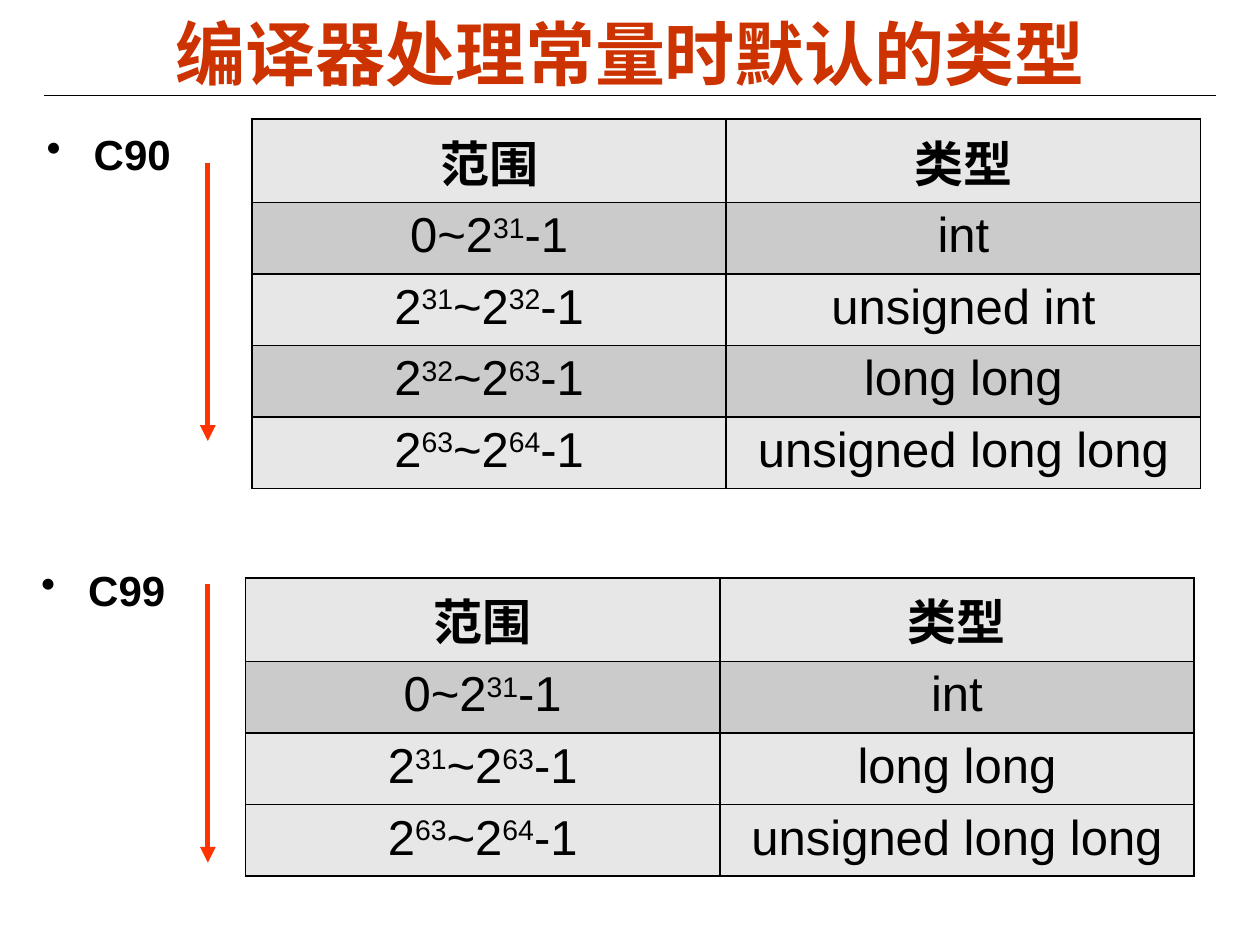
from dataclasses import dataclass

from lxml import etree
from pptx import Presentation
from pptx.dml.color import RGBColor
from pptx.enum.shapes import MSO_CONNECTOR
from pptx.enum.text import MSO_ANCHOR, PP_ALIGN
from pptx.oxml.ns import qn
from pptx.util import Cm, Pt

BLACK = RGBColor(0x00, 0x00, 0x00)
TITLE_RED = RGBColor(0xCC, 0x33, 0x00)
ARROW_RED = RGBColor(0xFF, 0x33, 0x00)
LIGHT = RGBColor(0xE7, 0xE7, 0xE7)
DARK = RGBColor(0xCB, 0xCB, 0xCB)
CENTER = PP_ALIGN.CENTER
MIDDLE = MSO_ANCHOR.MIDDLE
STRAIGHT = MSO_CONNECTOR.STRAIGHT

FONT = "Arial"
HEADER = ("范围", "类型")
HEADER_HEIGHT, ROW_HEIGHT = 1.68, 1.35
COL_WIDTH = 9.56
ARROW_X, ARROW_LENGTH = 4.19, 5.61


@dataclass
class Row:
    values: str  # superscripts stand between carets
    type_name: str
    fill: RGBColor = LIGHT
    height: float = ROW_HEIGHT


@dataclass
class Standard:
    """One C standard; lengths in centimetres."""
    name: str
    label_left: float
    label_top: float
    table_left: float
    table_top: float
    arrow_top: float
    rows: list[Row]


STANDARDS = [
    Standard("C90", 0.69, 2.31, 5.08, 2.4, 3.28, [
        Row("0~2^31^-1", "int", DARK),
        Row("2^31^~2^32^-1", "unsigned int"),
        Row("2^32^~2^63^-1", "long long", DARK),
        Row("2^63^~2^64^-1", "unsigned long long"),
    ]),
    Standard("C99", 0.58, 11.1, 4.95, 11.65, 11.78, [
        Row("0~2^31^-1", "int", DARK, 1.45),
        Row("2^31^~2^63^-1", "long long"),
        Row("2^63^~2^64^-1", "unsigned long long"),
    ]),
]


def style(font, size: float, color: RGBColor, bold: bool) -> None:
    font.name = FONT
    font.size = Pt(size)
    font.bold = bold
    font.color.rgb = color


def add_line(s, x1: float, y1: float, x2: float, y2: float,
             color: RGBColor, width: float, arrow: bool = False) -> None:
    line = s.shapes.add_connector(STRAIGHT, Cm(x1), Cm(y1), Cm(x2), Cm(y2))
    line.line.color.rgb = color
    line.line.width = Pt(width)
    sp_pr = line._element.spPr
    if arrow:
        etree.SubElement(sp_pr.find(qn("a:ln")), qn("a:tailEnd"), type="triangle")
    etree.SubElement(sp_pr, qn("a:effectLst"))


def add_title(s, text: str) -> None:
    title = s.shapes.title
    title.left, title.top, title.width, title.height = Cm(1.27), Cm(0.28), Cm(22.86), Cm(1.55)
    tf = title.text_frame
    tf.text = text
    tf.vertical_anchor = MIDDLE
    p = tf.paragraphs[0]
    p.alignment = CENTER
    style(p.runs[0].font, 40, TITLE_RED, True)


def add_label(s, std: Standard) -> None:
    box = s.shapes.add_textbox(Cm(std.label_left), Cm(std.label_top), Cm(3.2), Cm(1.32))
    tf = box.text_frame
    tf.word_wrap = True
    tf.text = std.name
    p = tf.paragraphs[0]
    p.line_spacing = 1.15
    p_pr = p._p.get_or_add_pPr()
    p_pr.set("marL", str(Cm(0.95)))
    p_pr.set("indent", str(-Cm(0.95)))
    etree.SubElement(p_pr, qn("a:buChar"), char="•")
    style(p.runs[0].font, 24, BLACK, True)


def add_borders(cell) -> None:
    tc_pr = cell._tc.get_or_add_tcPr()
    for i, side in enumerate(("lnL", "lnR", "lnT", "lnB")):
        ln = etree.Element(qn(f"a:{side}"), w=str(Pt(1)))
        fill = etree.SubElement(ln, qn("a:solidFill"))
        etree.SubElement(fill, qn("a:srgbClr"), val=str(BLACK))
        tc_pr.insert(i, ln)


def fill_cell(cell, text: str, fill: RGBColor, bold: bool) -> None:
    cell.fill.solid()
    cell.fill.fore_color.rgb = fill
    add_borders(cell)
    p = cell.text_frame.paragraphs[0]
    p.alignment = CENTER
    for i, part in enumerate(text.split("^")):
        r = p.add_run()
        r.text = part
        style(r.font, 28, BLACK, bold)
        if i % 2:
            r.font._element.set("baseline", "30000")


def add_type_table(s, std: Standard) -> None:
    rows = [Row(*HEADER, height=HEADER_HEIGHT), *std.rows]
    height = sum(row.height for row in rows)
    table = s.shapes.add_table(len(rows), 2, Cm(std.table_left), Cm(std.table_top),
                               Cm(2 * COL_WIDTH), Cm(height)).table
    for col in table.columns:
        col.width = Cm(COL_WIDTH)
    for i, row in enumerate(rows):
        table.rows[i].height = Cm(row.height)
        for j, text in enumerate((row.values, row.type_name)):
            fill_cell(table.cell(i, j), text, row.fill, bold=i == 0)


def main() -> None:
    prs = Presentation()
    prs.slide_width, prs.slide_height = Cm(25.4), Cm(19.05)
    s = prs.slides.add_slide(prs.slide_layouts[5])
    add_line(s, 0.89, 1.93, 24.51, 1.93, BLACK, 0.75)
    add_title(s, "编译器处理常量时默认的类型")
    for std in STANDARDS:
        add_label(s, std)
        add_type_table(s, std)
        add_line(s, ARROW_X, std.arrow_top, ARROW_X, std.arrow_top + ARROW_LENGTH,
                 ARROW_RED, 3, arrow=True)
    prs.save("out.pptx")


if __name__ == "__main__":
    main()
